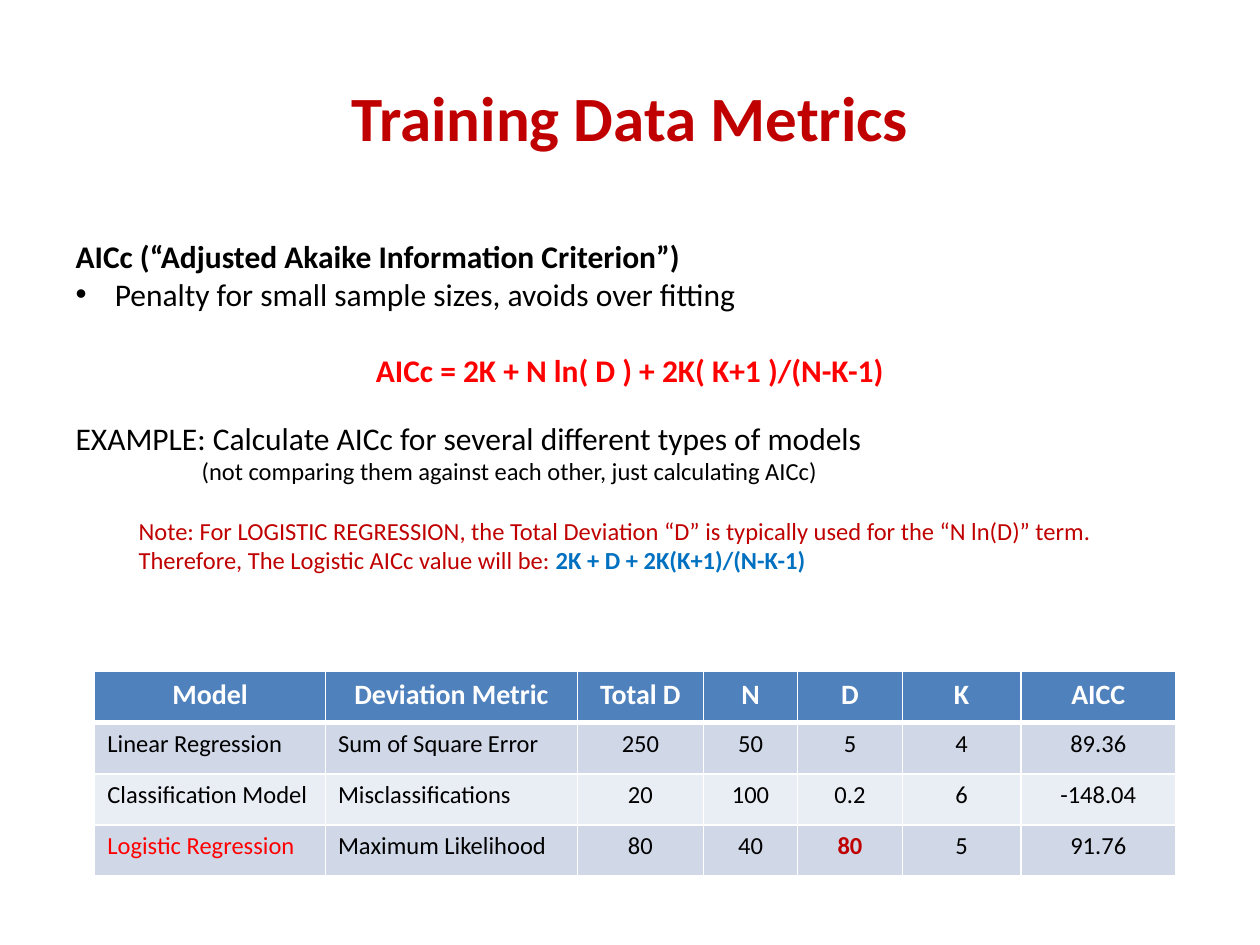
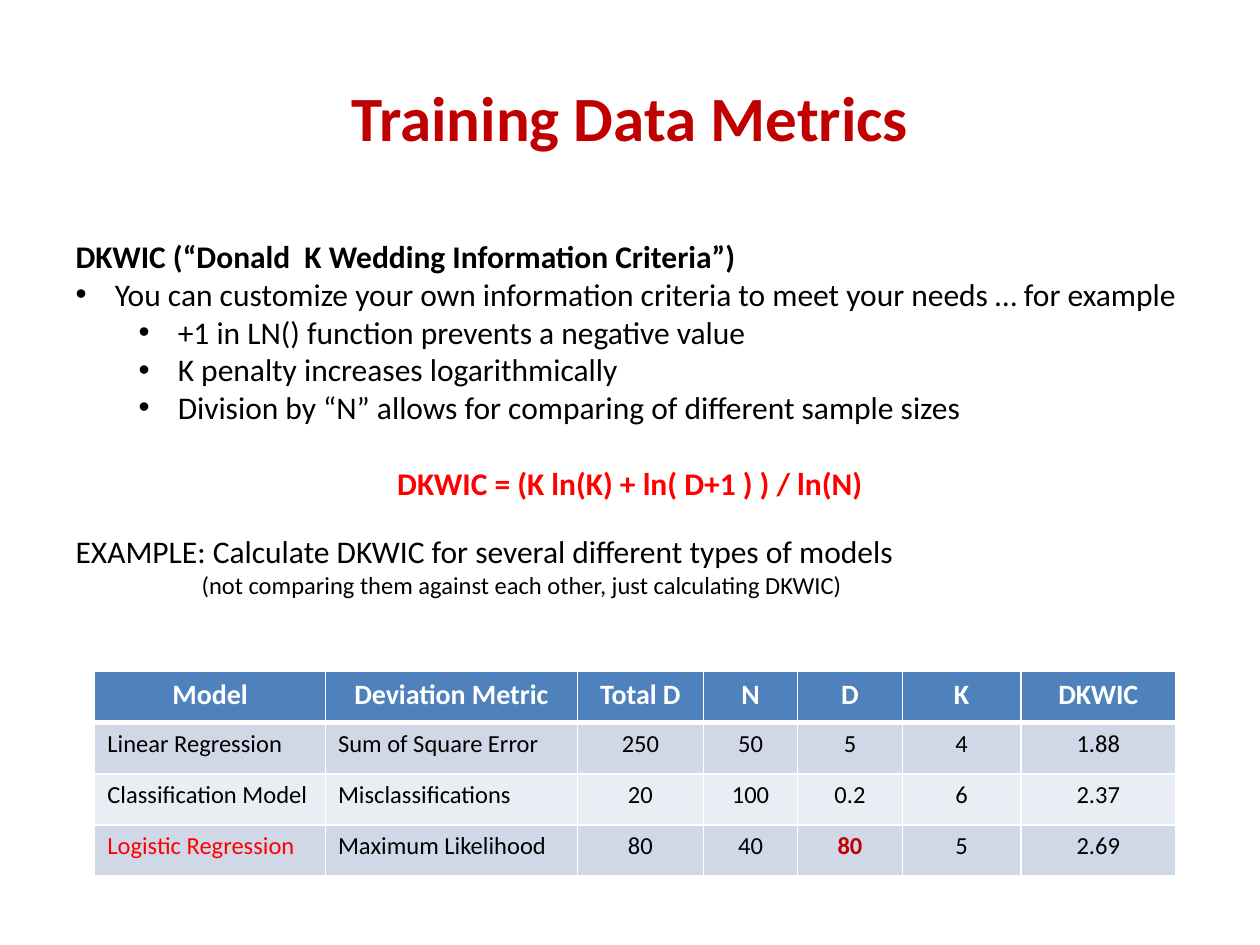
from lxml.etree import SubElement
from pptx import Presentation
from pptx.dml.color import RGBColor
from pptx.enum.text import MSO_ANCHOR, MSO_AUTO_SIZE, PP_ALIGN
from pptx.oxml.ns import qn
from pptx.util import Cm, Pt

# Shared style
FONT = "Calibri"
BLACK = RGBColor(0x00, 0x00, 0x00)
WHITE = RGBColor(0xFF, 0xFF, 0xFF)
DARK_RED = RGBColor(0xC0, 0x00, 0x00)
RED = RGBColor(0xFF, 0x00, 0x00)
BLUE = RGBColor(0x00, 0x70, 0xC0)
HEADER_BLUE = RGBColor(0x4F, 0x81, 0xBD)
BAND_DARK = RGBColor(0xD0, 0xD8, 0xE8)
BAND_LIGHT = RGBColor(0xE9, 0xED, 0xF4)

HANGING = 0.79  # space between a bullet and its text, cm
LEVEL_STEP = 1.27  # indent of each list level, cm
LINE_14, LINE_18 = 17, 22  # heights of a line of 14 and 18 point text
COLUMN_WIDTHS = (4.65, 5.08, 2.54, 1.9, 2.11, 2.39, 3.12)
ROW_HEIGHT = 1.03


def write(para, text, size=18, color=BLACK, bold=False):
    """Append a formatted span of text to a paragraph."""
    span = para.add_run()
    span.text = text
    span.font.name = FONT
    span.font.size = Pt(size)
    span.font.bold = bold
    span.font.color.rgb = color


def set_border(cell, side, width):
    """Draw one white edge of a table cell."""
    line = SubElement(cell._tc.get_or_add_tcPr(), qn(f"a:ln{side}"), w=str(Pt(width)))
    fill = SubElement(line, qn("a:solidFill"))
    SubElement(fill, qn("a:srgbClr"), val=str(WHITE))


class MetricsDeck:
    """Holds the presentation and the slide being built."""

    def __init__(self):
        self.deck = Presentation()
        self.deck.slide_width, self.deck.slide_height = Cm(25.4), Cm(19.05)
        self.page = None
        self.body = None

    def place(self, box, left, top, width, height):
        box.left, box.top, box.width, box.height = map(Cm, (left, top, width, height))
        frame = box.text_frame
        frame.word_wrap = True
        frame.auto_size = MSO_AUTO_SIZE.NONE
        return frame

    def add_page(self, title):
        self.page = self.deck.slides.add_slide(self.deck.slide_layouts[1])
        heading = self.place(self.page.shapes.title, 1.27, 0.76, 22.86, 3.18)
        heading.vertical_anchor = MSO_ANCHOR.MIDDLE
        para = heading.paragraphs[0]
        para.alignment = PP_ALIGN.CENTER
        write(para, title, size=36, color=DARK_RED, bold=True)
        self.body = self.place(self.page.placeholders[1], 1.27, 4.65, 22.86, 7.65)

    def add_line(self, text, level=0, bullet=False, before=0,
                 align=PP_ALIGN.LEFT, **style):
        """Add a paragraph to the body and return it."""
        para = self.body.paragraphs[0]
        if para.runs:
            para = self.body.add_paragraph()
        para.level = level
        para.alignment = align
        para.space_before = Pt(before)
        hanging = HANGING if bullet else 0
        properties = para._p.get_or_add_pPr()
        properties.set("marL", str(Cm(level * LEVEL_STEP + hanging)))
        properties.set("indent", str(Cm(-hanging)))
        if bullet:
            SubElement(properties, qn("a:buFont"), typeface="Arial")
            SubElement(properties, qn("a:buChar"), char="•")
        else:
            SubElement(properties, qn("a:buNone"))
        write(para, text, **style)
        return para

    def add_formula(self, text):
        self.add_line(text, before=LINE_18, align=PP_ALIGN.CENTER, color=RED, bold=True)

    def add_example(self, metric):
        self.add_line(f"EXAMPLE: Calculate {metric} for several different types of models",
                      before=LINE_14)
        self.add_line("(not comparing them against each other, "
                      f"just calculating {metric})", level=2, size=14)

    def add_cell(self, cell, text, row, column):
        header = row == 0
        # Edges come before the fill; the rule under the header is thick
        for side in "LRTB":
            thick = (row, side) in ((0, "B"), (1, "T"))
            set_border(cell, side, 3 if thick else 1)
        cell.fill.solid()
        if header:
            cell.fill.fore_color.rgb = HEADER_BLUE
        else:
            cell.fill.fore_color.rgb = BAND_DARK if row % 2 else BAND_LIGHT

        # The logistic model's name and its D value stand out
        highlight = {(3, 0): RED, (3, 4): DARK_RED}
        color = WHITE if header else highlight.get((row, column), BLACK)
        para = cell.text_frame.paragraphs[0]
        para.alignment = PP_ALIGN.CENTER if header or column > 1 else PP_ALIGN.LEFT
        write(para, text, size=16 if header else 14, color=color,
              bold=header or color == DARK_RED)

    def add_results(self, metric, values):
        rows = [line + (value,) for line, value in zip(MODELS, (metric, *values))]
        frame = self.page.shapes.add_table(
            len(rows), len(COLUMN_WIDTHS), Cm(1.91), Cm(13.54),
            Cm(sum(COLUMN_WIDTHS)), Cm(ROW_HEIGHT * len(rows)))
        table = frame.table
        for column, width in zip(table.columns, COLUMN_WIDTHS):
            column.width = Cm(width)
        for row, texts in enumerate(rows):
            table.rows[row].height = Cm(ROW_HEIGHT)
            for column, text in enumerate(texts):
                self.add_cell(table.cell(row, column), text, row, column)


# Columns that both result tables share
MODELS = (
    ("Model", "Deviation Metric", "Total D", "N", "D", "K"),
    ("Linear Regression", "Sum of Square Error", "250", "50", "5", "4"),
    ("Classification Model", "Misclassifications", "20", "100", "0.2", "6"),
    ("Logistic Regression", "Maximum Likelihood", "80", "40", "80", "5"),
)
TITLE = "Training Data Metrics"

show = MetricsDeck()

# Slide 1: AICc
show.add_page(TITLE)
show.add_line("AICc (“Adjusted Akaike Information Criterion”)", bold=True)
show.add_line("Penalty for small sample sizes, avoids over fitting", bullet=True)
show.add_formula("AICc = 2K + N ln( D ) + 2K( K+1 )/(N-K-1)")
show.add_example("AICc")
note = show.add_line(
    "Note: For LOGISTIC REGRESSION, the Total Deviation “D” is typically used for the "
    "“N ln(D)” term. Therefore, The Logistic AICc value will be: ",
    level=1, before=LINE_14, size=14, color=DARK_RED)
write(note, "2K + D + 2K(K+1)/(N-K-1)", size=14, color=BLUE, bold=True)
show.add_results("AICC", ("89.36", "-148.04", "91.76"))

# Slide 2: DKWIC
show.add_page(TITLE)
show.add_line("DKWIC (“Donald  K Wedding Information Criteria”)", bold=True)
show.add_line("You can customize your own information criteria to meet your needs "
              "… for example", bullet=True)
for reason in ("+1 in LN() function prevents a negative value",
               "K penalty increases logarithmically",
               "Division by “N” allows for comparing of different sample sizes"):
    show.add_line(reason, level=1, bullet=True)
show.add_formula("DKWIC = (K ln(K) + ln( D+1 ) ) / ln(N)")
show.add_example("DKWIC")
show.add_results("DKWIC", ("1.88", "2.37", "2.69"))

show.deck.save("out.pptx")
